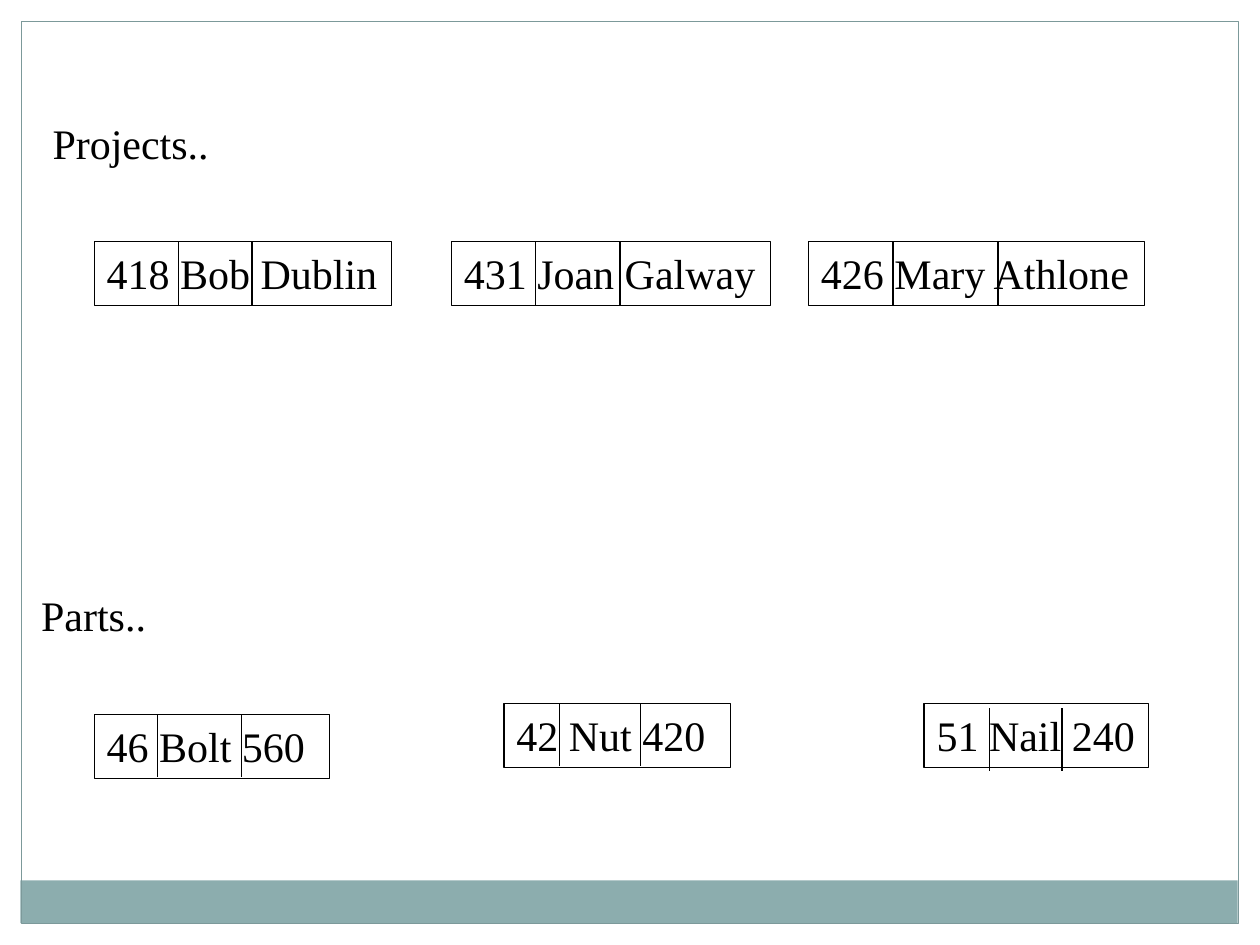
from lxml.etree import SubElement
from pptx import Presentation
from pptx.dml.color import RGBColor
from pptx.enum.shapes import MSO_CONNECTOR as Connector, MSO_SHAPE as Shape
from pptx.enum.text import MSO_ANCHOR as Anchor, MSO_AUTO_SIZE as AutoSize, PP_ALIGN as Align
from pptx.oxml.ns import qn
from pptx.util import Cm, Pt

COLORS = {"ink": "000000", "band": "8CADAE", "frame": "7C999A"}
FONT = "Times New Roman"
RECORD_HEIGHT = 1.29
DIVIDER_HEIGHT = 1.27

# Text, left, top, width, divider offsets from the left, divider drop
PROJECTS_TOP = 4.87
RECORDS = [
    ("418 Bob Dublin", 1.9, PROJECTS_TOP, 6, (1.7, 3.18), 0),
    ("431 Joan Galway", 9.1, PROJECTS_TOP, 6.43, (1.7, 3.4), 0),
    ("426 Mary Athlone", 16.3, PROJECTS_TOP, 6.78, (1.7, 3.82), 0),
    ("46 Bolt 560", 1.9, 14.4, 4.75, (1.27, 2.97), 0),
    ("42 Nut 420", 10.16, 14.18, 4.57, (1.12, 2.75), 0),
    ("51 Nail 240", 18.63, 14.18, 4.52, (1.32, 2.78), 0.1),
]


def color(name):
    return RGBColor.from_string(COLORS[name])


def set_line(shape, name):
    shape.line.color.rgb = color(name)
    shape.line.width = Pt(0.75)


def add_rectangle(slide, left, top, width, height, fill=None, line=None):
    shape = slide.shapes.add_shape(Shape.RECTANGLE, Cm(left), Cm(top), Cm(width), Cm(height))
    shape.shadow.inherit = False
    if fill:
        shape.fill.solid()
        shape.fill.fore_color.rgb = color(fill)
    else:
        shape.fill.background()
    if line:
        set_line(shape, line)
    else:
        shape.line.fill.background()
    return shape


def write_text(shape, text):
    frame = shape.text_frame
    frame.word_wrap = False
    frame.auto_size = AutoSize.SHAPE_TO_FIT_TEXT
    frame.vertical_anchor = Anchor.TOP
    paragraph = frame.paragraphs[0]
    paragraph.alignment = Align.LEFT
    run = paragraph.add_run()
    run.text = text
    run.font.name = FONT
    run.font.size = Pt(24)
    run.font.color.rgb = color("ink")


def add_heading(slide, text, left, top, width):
    write_text(slide.shapes.add_textbox(Cm(left), Cm(top), Cm(width), Cm(1.28)), text)


def add_divider(slide, x, top):
    divider = slide.shapes.add_connector(
        Connector.STRAIGHT, Cm(x), Cm(top), Cm(x), Cm(top + DIVIDER_HEIGHT))
    set_line(divider, "ink")
    SubElement(divider._element.spPr, qn("a:effectLst"))


def add_record(slide, text, left, top, width, offsets, drop):
    write_text(add_rectangle(slide, left, top, width, RECORD_HEIGHT, line="ink"), text)
    for offset in offsets:
        add_divider(slide, left + offset, top + drop)


def main():
    presentation = Presentation()
    presentation.slide_width, presentation.slide_height = Cm(25.4), Cm(19.05)
    slide = presentation.slides.add_slide(presentation.slide_layouts[6])

    # Bottom band and page frame
    add_rectangle(slide, 0.41, 17.75, 24.54, 0.86, fill="band")
    add_rectangle(slide, 0.43, 0.43, 24.54, 18.19, line="frame")

    # Records with their field dividers
    for record in RECORDS:
        add_record(slide, *record)

    # Headings
    add_heading(slide, "Projects..", 0.81, 2.24, 3.66)
    add_heading(slide, "Parts..", 0.58, 11.76, 2.62)

    presentation.save("out.pptx")


if __name__ == "__main__":
    main()
